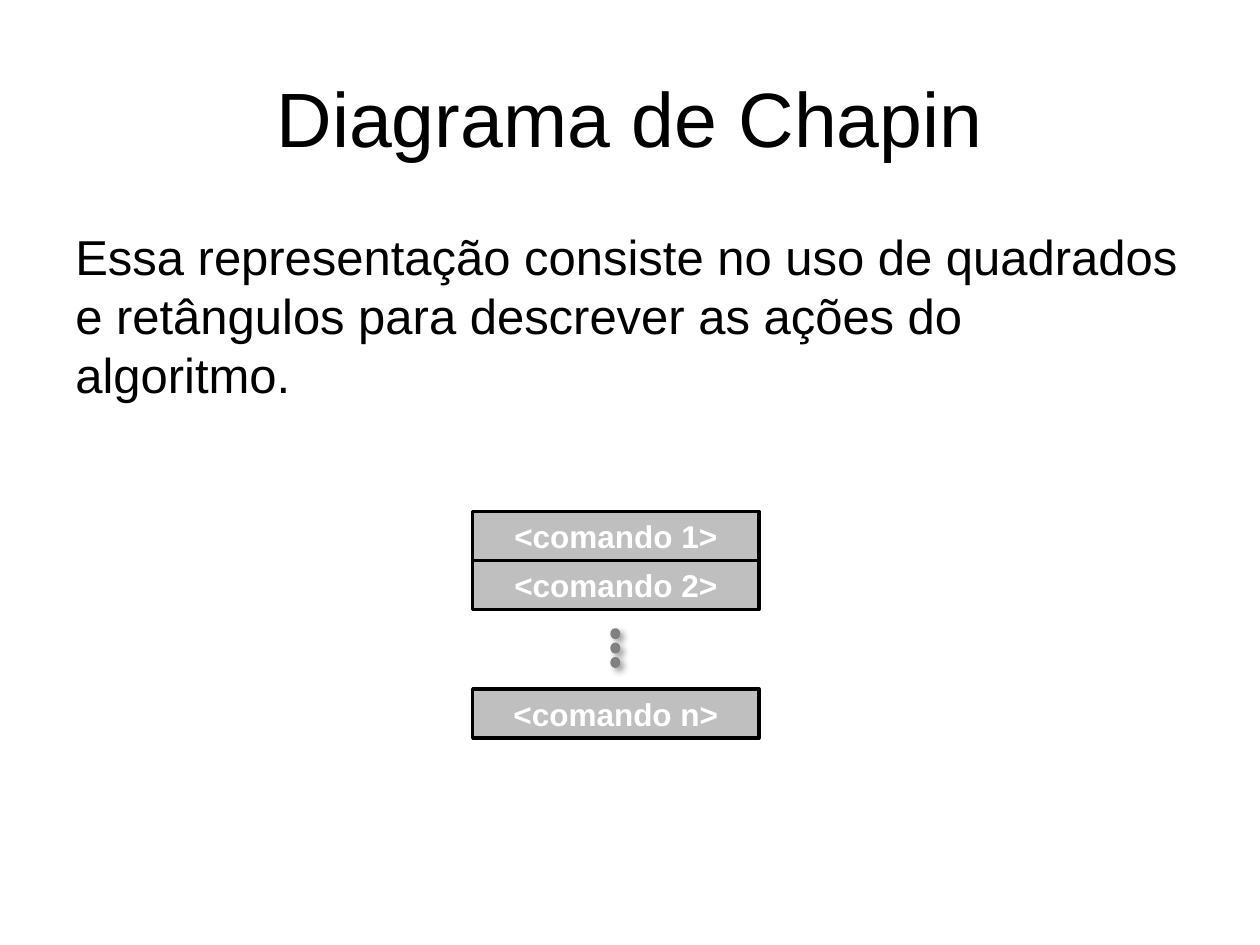
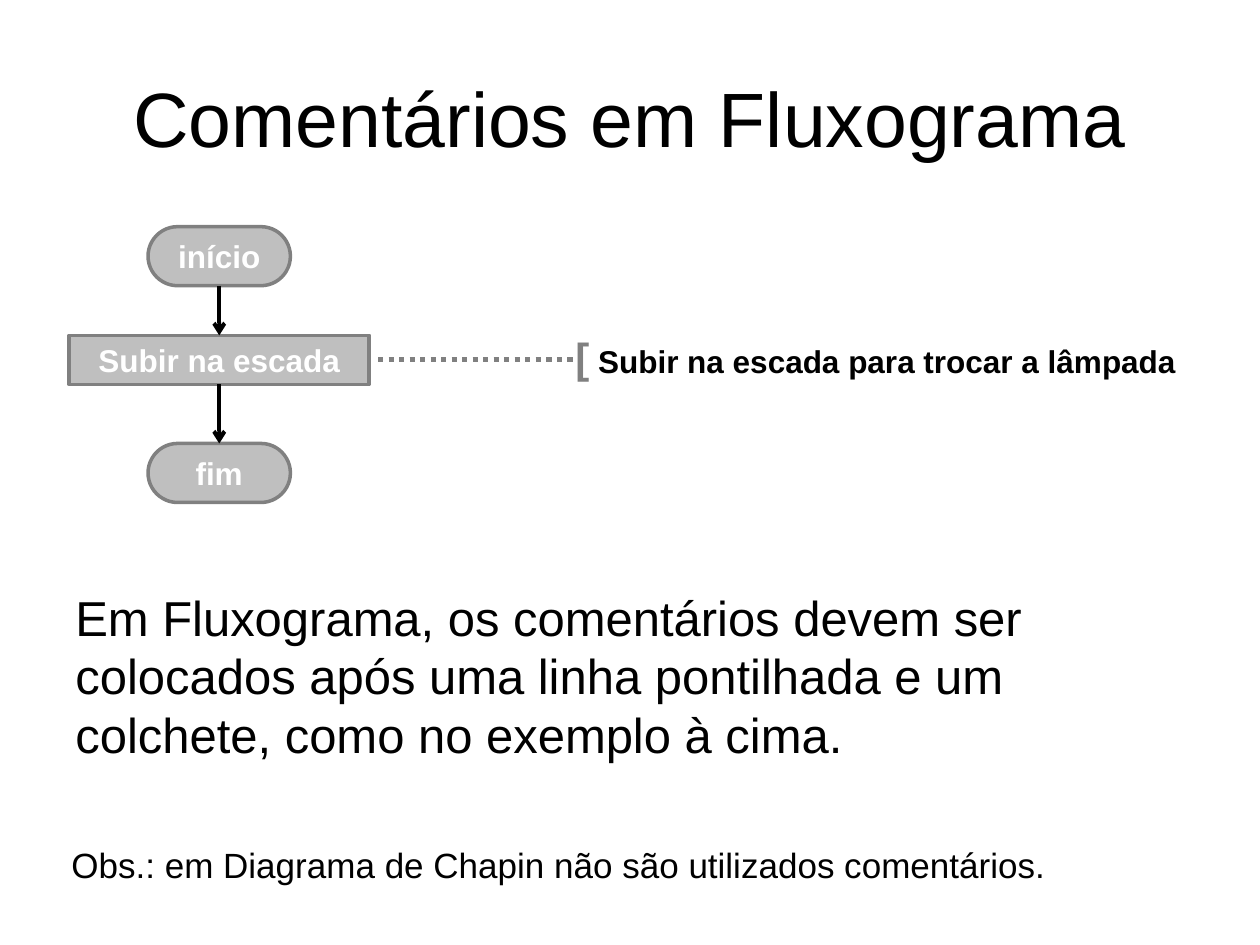
"""Build two slides on Chapin diagrams and flowchart comments."""
from dataclasses import dataclass
from typing import Any

import lxml.etree
import pptx
import pptx.dml.color
import pptx.enum.dml
import pptx.enum.shapes
import pptx.enum.text
import pptx.oxml.ns
import pptx.slide
import pptx.util

Cm = pptx.util.Cm
Pt = pptx.util.Pt
Rgb = pptx.dml.color.RGBColor
Kind = pptx.enum.shapes.MSO_SHAPE
Align = pptx.enum.text.PP_ALIGN
Anchor = pptx.enum.text.MSO_ANCHOR
qn = pptx.oxml.ns.qn


@dataclass(frozen=True)
class Theme:
    font: str = "Arial"
    ink: Rgb = Rgb(0, 0, 0)
    gray: Rgb = Rgb(0x80, 0x80, 0x80)
    pale: Rgb = Rgb(0xBF, 0xBF, 0xBF)
    white: Rgb = Rgb(0xFF, 0xFF, 0xFF)
    title: int = 44
    body: int = 28
    mark: int = 24
    note: int = 20
    label: int = 18
    edge: float = 2
    arrow: float = 2.25
    dots: float = 3


THEME = Theme()


@dataclass(frozen=True)
class Area:
    left: float
    top: float
    width: float
    height: float

    def cm(self) -> tuple[Cm, Cm, Cm, Cm]:
        return Cm(self.left), Cm(self.top), Cm(self.width), Cm(self.height)


@dataclass(frozen=True)
class Block:
    area: Area
    text: str = ""
    kind: Kind = Kind.RECTANGLE
    fill: Rgb = THEME.pale
    edge: Rgb = THEME.gray


def style(run: Any, size: float, color: Rgb, bold: bool = False) -> None:
    run.font.name = THEME.font
    run.font.size = Pt(size)
    run.font.bold = bold
    run.font.color.rgb = color


def write(slide: pptx.slide.Slide, area: Area, text: str, size: int) -> Any:
    box = slide.shapes.add_textbox(*area.cm())
    frame = box.text_frame
    frame.word_wrap = True
    frame.text = text
    for run in frame.paragraphs[0].runs:
        style(run, size, THEME.ink)
    return frame


def start(deck: Any, title: str) -> pptx.slide.Slide:
    slide = deck.slides.add_slide(deck.slide_layouts[6])
    frame = write(slide, Area(1.27, 0.76, 22.86, 3.18), title, THEME.title)
    frame.vertical_anchor = Anchor.MIDDLE
    frame.paragraphs[0].alignment = Align.CENTER
    return slide


def draw(slide: pptx.slide.Slide, block: Block) -> Any:
    shape = slide.shapes.add_shape(block.kind, *block.area.cm())
    shape.shadow.inherit = False
    shape.fill.solid()
    shape.fill.fore_color.rgb = block.fill
    shape.line.color.rgb = block.edge
    shape.line.width = Pt(THEME.edge)
    if block.kind == Kind.ROUNDED_RECTANGLE:
        shape.adjustments[0] = 0.5
    if block.text:
        frame = shape.text_frame
        frame.text = block.text
        frame.vertical_anchor = Anchor.MIDDLE
        frame.paragraphs[0].alignment = Align.CENTER
        style(frame.paragraphs[0].runs[0], THEME.label, THEME.white, True)
    return shape


def shade(shape: Any) -> None:
    effect = shape.element.spPr.find(qn("a:effectLst"))
    outer = lxml.etree.SubElement(
        effect, qn("a:outerShdw"), blurRad=str(Pt(4)), dist=str(Pt(3)),
        dir=str(45 * 60000), algn="tl", rotWithShape="0")
    color = lxml.etree.SubElement(outer, qn("a:srgbClr"), val=str(THEME.ink))
    lxml.etree.SubElement(color, qn("a:alpha"), val="40000")


def line(slide: pptx.slide.Slide, ends: tuple[float, ...], color: Rgb, width: float) -> Any:
    link = slide.shapes.add_connector(
        pptx.enum.shapes.MSO_CONNECTOR.STRAIGHT, *(Cm(end) for end in ends))
    link.line.color.rgb = color
    link.line.width = Pt(width)
    lxml.etree.SubElement(link.element.spPr, qn("a:effectLst"))
    return link


def join(slide: pptx.slide.Slide, first: Any, last: Any) -> None:
    link = line(slide, (0, 0, 0, 0), THEME.ink, THEME.arrow)
    link.begin_connect(first, 2)
    link.end_connect(last, 0)
    stroke = link.element.spPr.find(qn("a:ln"))
    lxml.etree.SubElement(stroke, qn("a:tailEnd"), type="arrow")


def chapin(deck: Any) -> None:
    slide = start(deck, "Diagrama de Chapin")
    write(slide, Area(1.27, 4.45, 22.94, 4.5),
          "Essa representação consiste no uso de quadrados e retângulos "
          "para descrever as ações do algoritmo.", THEME.body)
    left, width, high = 9.53, 5.77, 0.99
    top = 10.31
    for name, row in (("1", top), ("2", top + high), ("n", 13.89)):
        draw(slide, Block(Area(left, row, width, high),
                          f"<comando {name}>", edge=THEME.ink))
    for step in range(3):
        area = Area(12.34, 12.7 + step * 0.29, 0.13, 0.15)
        shade(draw(slide, Block(area, kind=Kind.OVAL, fill=THEME.gray)))


def flow(deck: Any) -> None:
    slide = start(deck, "Comentários em Fluxograma")
    write(slide, Area(1.27, 11.71, 22.94, 4.17),
          "Em Fluxograma, os comentários devem ser colocados após uma linha "
          "pontilhada e um colchete, como no exemplo à cima.", THEME.body)
    axis = 4.42
    wide, slim = 6.05, 2.87
    pill = Kind.ROUNDED_RECTANGLE
    steps = [
        Block(Area(axis - slim / 2, 4.57, slim, 1.19), "início", pill),
        Block(Area(axis - wide / 2, 6.76, wide, 0.99), "Subir na escada"),
        Block(Area(axis - slim / 2, 8.94, slim, 1.19), "fim", pill),
    ]
    shapes = [draw(slide, step) for step in steps]
    for first, last in zip(shapes, shapes[1:]):
        join(slide, first, last)

    frame = write(slide, Area(11.35, 6.55, 12.9, 1.27), "[", THEME.mark)
    para = frame.paragraphs[0]
    style(para.runs[0], THEME.mark, THEME.gray, True)
    run = para.add_run()
    run.text = " Subir na escada para trocar a lâmpada"
    style(run, THEME.label, THEME.ink, True)
    link = line(slide, (7.62, 7.24, 11.58, 7.24), THEME.gray, THEME.dots)
    link.line.dash_style = pptx.enum.dml.MSO_LINE.ROUND_DOT

    write(slide, Area(1.19, 16.87, 22.94, 1.19),
          "Obs.: em Diagrama de Chapin não são utilizados comentários.",
          THEME.note)


def main() -> None:
    deck = pptx.Presentation()
    deck.slide_width, deck.slide_height = Cm(25.4), Cm(19.05)
    chapin(deck)
    flow(deck)
    deck.save("out.pptx")


if __name__ == "__main__":
    main()
